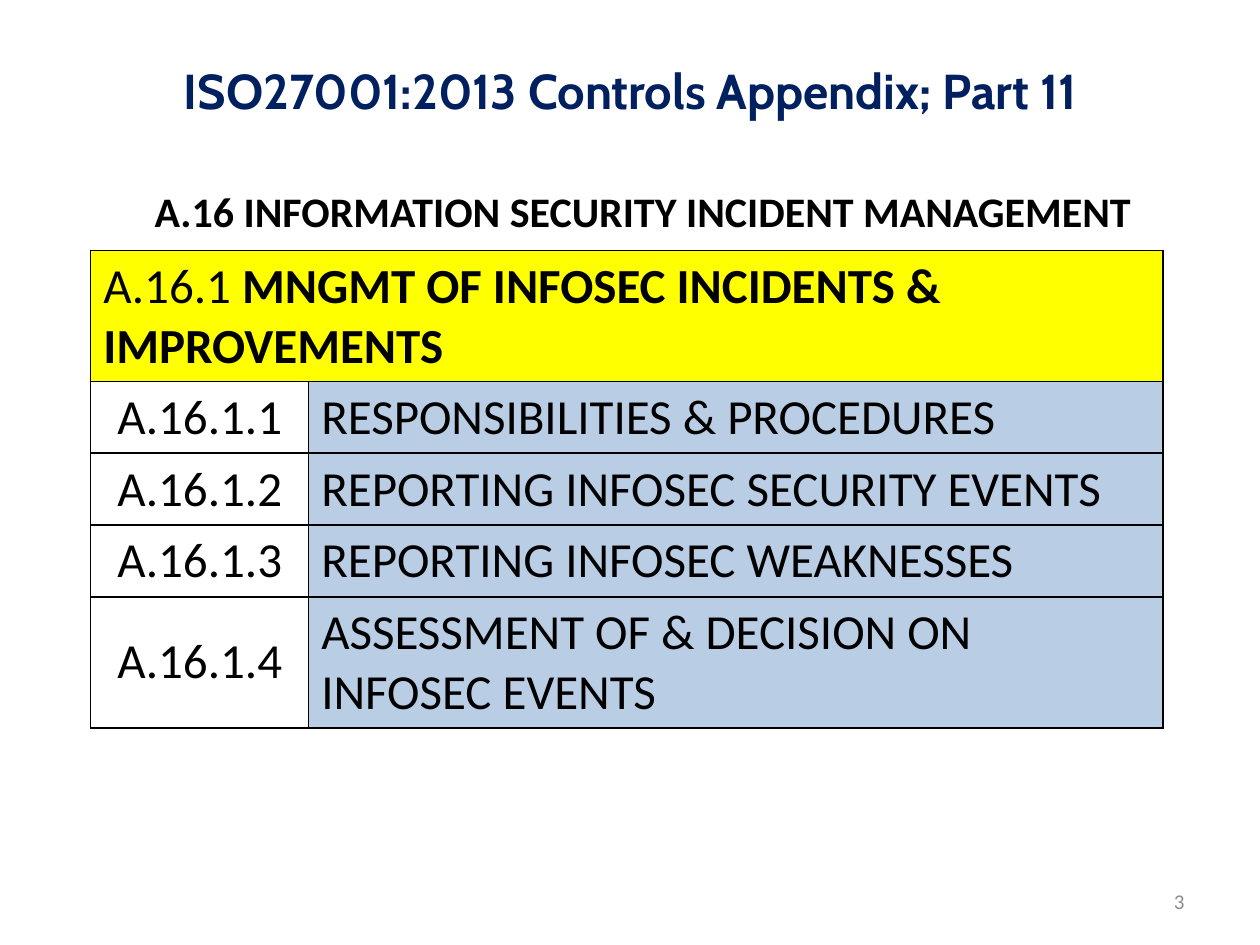
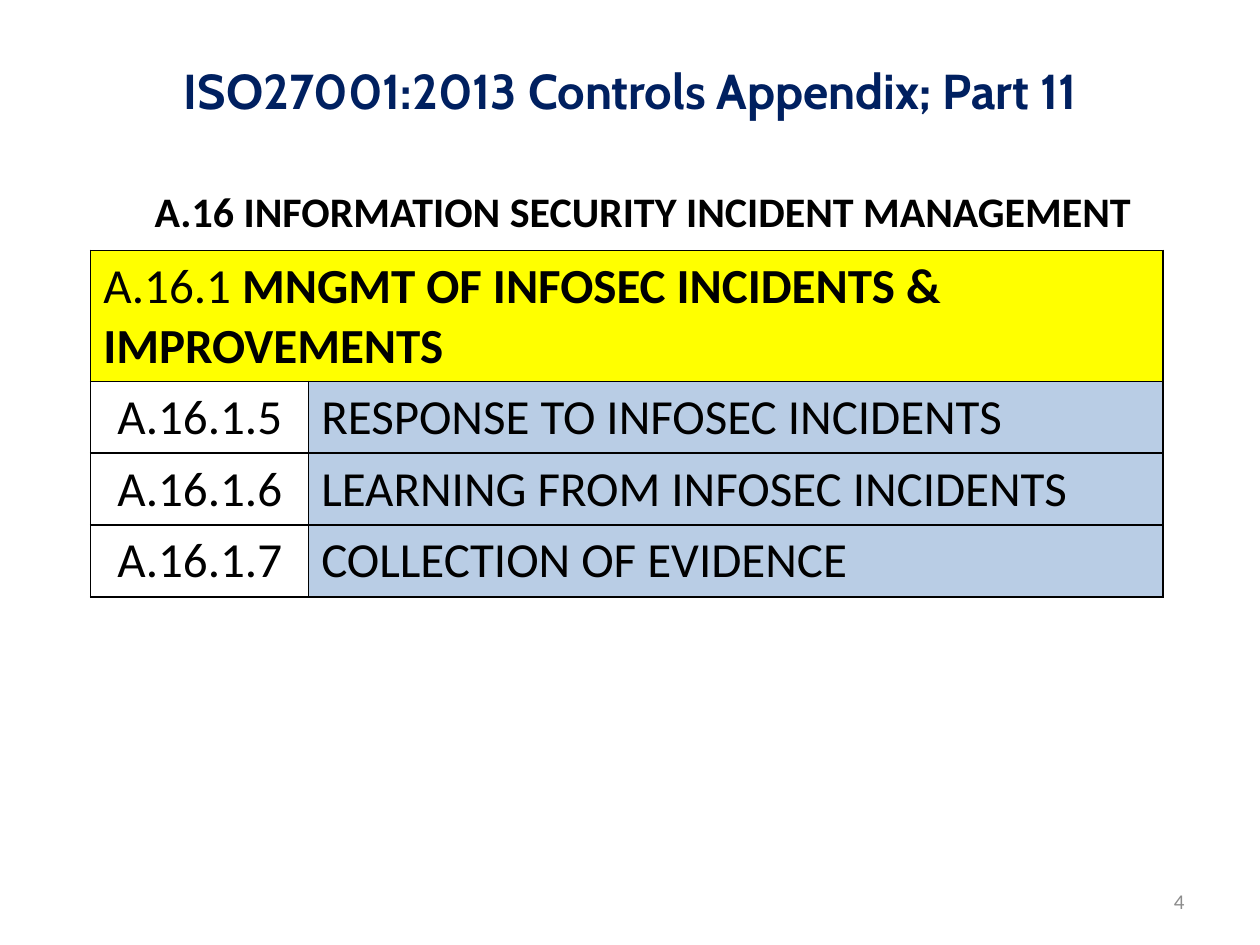
from lxml.etree import SubElement
from pptx import Presentation
from pptx.dml.color import RGBColor
from pptx.enum.text import MSO_ANCHOR, MSO_AUTO_SIZE, PP_ALIGN
from pptx.oxml.ns import qn
from pptx.util import Inches, Pt

NAVY = RGBColor(0x00, 0x20, 0x60)
BLACK = RGBColor(0x00, 0x00, 0x00)
GREY = RGBColor(0x8C, 0x8C, 0x8C)
YELLOW = RGBColor(0xFF, 0xFF, 0x00)
PALE_BLUE = RGBColor(0xB9, 0xCD, 0xE5)

TITLE_FONT = "Cabin"
BODY_FONT = "Calibri"
TABLE_SIZE = 28
LINE_HEIGHT = Inches(0.47)
CELL_PADDING = Inches(0.1)

TITLE = "ISO27001:2013 Controls Appendix; Part 11"
SECTION = "A.16 INFORMATION SECURITY INCIDENT MANAGEMENT"
GROUP_NUMBER = "A.16.1 "
GROUP_NAME = "MNGMT OF INFOSEC INCIDENTS & IMPROVEMENTS"

# Each control has its name and the number of lines it takes.
SLIDES = [
    (3, 1, [
        ("RESPONSIBILITIES & PROCEDURES", 1),
        ("REPORTING INFOSEC SECURITY EVENTS", 1),
        ("REPORTING INFOSEC WEAKNESSES", 1),
        ("ASSESSMENT OF & DECISION ON INFOSEC EVENTS", 2),
    ]),
    (4, 5, [
        ("RESPONSE TO INFOSEC INCIDENTS", 1),
        ("LEARNING FROM INFOSEC INCIDENTS", 1),
        ("COLLECTION OF EVIDENCE", 1),
    ]),
]


def add_text(paragraph, text, size=TABLE_SIZE, color=BLACK, bold=False,
             font=BODY_FONT, align=PP_ALIGN.LEFT):
    paragraph.alignment = align
    run = paragraph.add_run()
    run.text = text
    run.font.name = font
    run.font.size = Pt(size)
    run.font.bold = bold
    run.font.color.rgb = color


def add_borders(cell, color=BLACK, width=1):
    """Put the four border lines ahead of the fill, as the schema orders them."""
    properties = cell._tc.get_or_add_tcPr()
    for position, side in enumerate(("a:lnL", "a:lnR", "a:lnT", "a:lnB")):
        line = SubElement(properties, qn(side), w=str(Pt(width)))
        fill = SubElement(line, qn("a:solidFill"))
        SubElement(fill, qn("a:srgbClr"), val=str(color))
        properties.insert(position, line)


class ControlsDeck:
    """Builds slides; every position is a share of the slide's size."""

    def __init__(self):
        self.presentation = Presentation()
        self.presentation.slide_width = Inches(10)
        self.presentation.slide_height = Inches(7.5)
        self.slide = None

    def across(self, share):
        return round(self.presentation.slide_width * share)

    def down(self, share):
        return round(self.presentation.slide_height * share)

    def box(self, left, top, width, height):
        return (self.across(left), self.down(top),
                self.across(width), self.down(height))

    def start_slide(self, title):
        layout = self.presentation.slide_layouts.get_by_name("Title Only")
        self.slide = self.presentation.slides.add_slide(layout)
        shape = self.slide.shapes.title
        shape.left, shape.top, shape.width, shape.height = self.box(0.05, 0.03, 0.9, 0.13)
        shape.text_frame.vertical_anchor = MSO_ANCHOR.MIDDLE
        add_text(shape.text_frame.paragraphs[0], title, color=NAVY, bold=True,
                 font=TITLE_FONT, align=PP_ALIGN.CENTER)

    def text_box(self, place, text, anchor=MSO_ANCHOR.TOP, wrap=True, **text_format):
        frame = self.slide.shapes.add_textbox(*self.box(*place)).text_frame
        frame.word_wrap = wrap
        frame.vertical_anchor = anchor
        if not wrap:
            frame.auto_size = MSO_AUTO_SIZE.SHAPE_TO_FIT_TEXT
        add_text(frame.paragraphs[0], text, **text_format)

    def section_heading(self, text):
        self.text_box((0.113, 0.19, 0.8, 0.07), text, wrap=False, size=24, bold=True)

    def page_number(self, number):
        self.text_box((0.717, 0.927, 0.233, 0.053), str(number), MSO_ANCHOR.MIDDLE,
                      size=12, color=GREY, align=PP_ALIGN.RIGHT)

    def cell(self, cell, runs, fill=None, anchor=MSO_ANCHOR.MIDDLE, **text_format):
        """Fill one table cell; runs are pairs of text and boldness."""
        if fill is None:
            cell.fill.background()
        else:
            cell.fill.solid()
            cell.fill.fore_color.rgb = fill
        cell.vertical_anchor = anchor
        for text, bold in runs:
            add_text(cell.text_frame.paragraphs[0], text, bold=bold, **text_format)

    def controls_table(self, first_number, controls):
        line_counts = [2] + [lines for _, lines in controls]
        heights = [LINE_HEIGHT * lines + CELL_PADDING for lines in line_counts]
        widths = [self.across(0.173), self.across(0.678)]
        table = self.slide.shapes.add_table(
            len(heights), len(widths), self.across(0.072), self.down(0.265),
            sum(widths), sum(heights)).table
        table.first_row = table.horz_banding = False
        for column, width in zip(table.columns, widths):
            column.width = width
        for row, height in zip(table.rows, heights):
            row.height = height

        heading = table.cell(0, 0)
        heading.merge(table.cell(0, 1))
        self.cell(heading, [(GROUP_NUMBER, False), (GROUP_NAME, True)],
                  fill=YELLOW, anchor=MSO_ANCHOR.TOP)
        for row, (name, _) in enumerate(controls, start=1):
            number = f"{GROUP_NUMBER.strip()}.{first_number + row - 1}"
            self.cell(table.cell(row, 0), [(number, False)], align=PP_ALIGN.CENTER)
            self.cell(table.cell(row, 1), [(name, False)], fill=PALE_BLUE)
        for cell in table.iter_cells():
            add_borders(cell)


def main():
    deck = ControlsDeck()
    for page, first_number, controls in SLIDES:
        deck.start_slide(TITLE)
        deck.page_number(page)
        deck.section_heading(SECTION)
        deck.controls_table(first_number, controls)
    deck.presentation.save("out.pptx")


if __name__ == "__main__":
    main()
